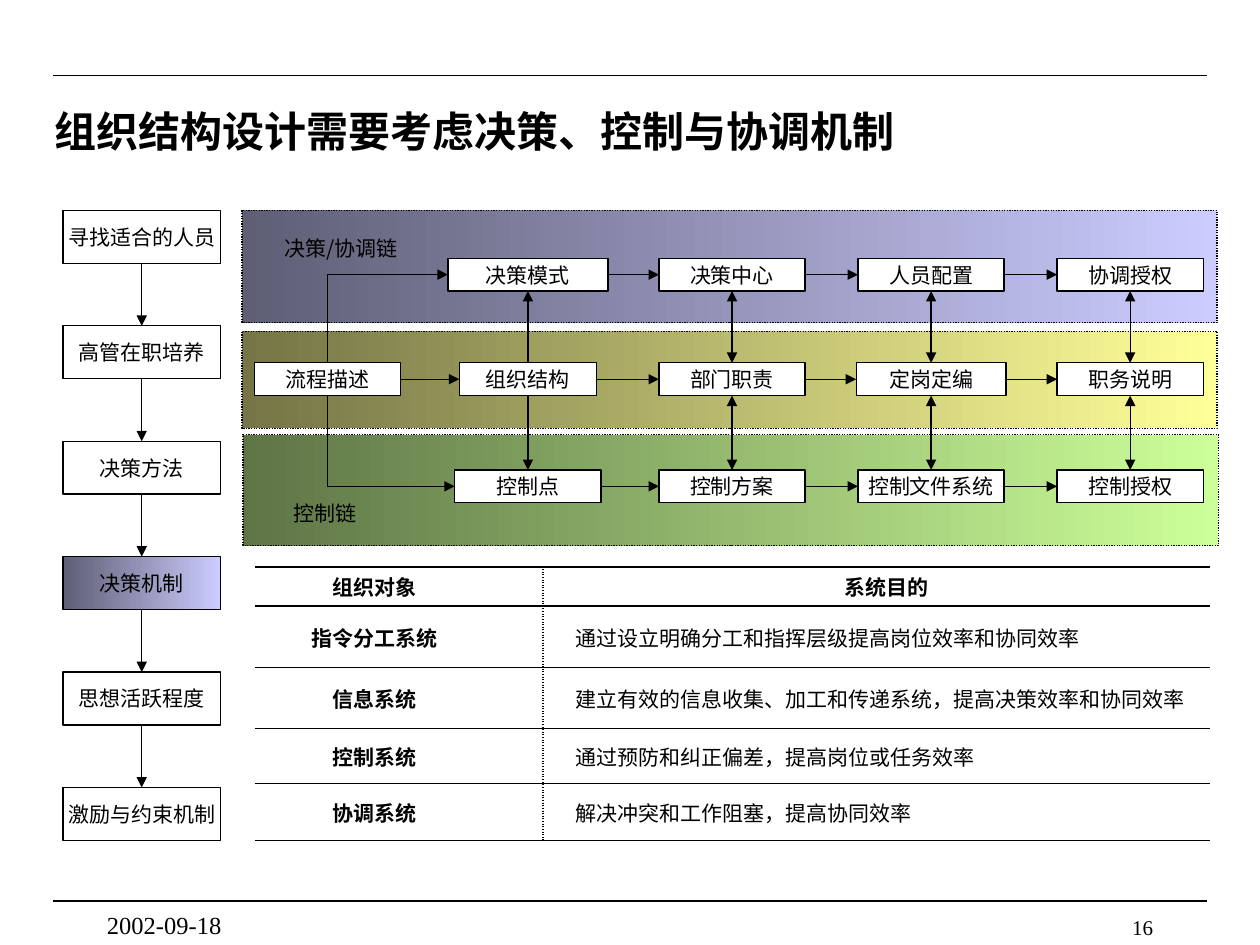
from dataclasses import dataclass
from itertools import pairwise
from typing import Optional

from lxml.etree import SubElement
from pptx import Presentation
from pptx.dml.color import RGBColor
from pptx.enum.dml import MSO_LINE
from pptx.enum.shapes import MSO_CONNECTOR, MSO_SHAPE
from pptx.enum.text import MSO_ANCHOR, PP_ALIGN
from pptx.oxml.ns import qn
from pptx.util import Inches, Pt

COLORS = {
    "ink": "000000", "paper": "FFFFFF",
    "blue": "CCCCFF", "blue_dark": "5E5E75",
    "yellow": "FFFF99", "yellow_dark": "757546",
    "green": "CCFF99", "green_dark": "5E7546",
}
SANS, SERIF = "Noto Sans CJK SC", "Times New Roman"
TOP, LEFT, BOTTOM, RIGHT = range(4)


@dataclass
class Box:
    text: str
    cx: float
    y: float
    w: float = 1.16
    h: float = 0.26
    fill: Optional[str] = "paper"
    font: str = SANS


@dataclass
class Band:
    color: str
    x: float
    y: float
    h: float


def rgb(name: str) -> RGBColor:
    return RGBColor.from_string(COLORS[name])


def add_run(p, text: str, size: float = 12, font: str = SANS, bold: bool = False):
    r = p.add_run()
    r.text = text
    r.font.size, r.font.name, r.font.bold = Pt(size), font, bold
    r.font.color.rgb = rgb("ink")
    if font == SANS:
        SubElement(r.font._element, qn("a:ea"), typeface=font)


def set_fill(fill, name: Optional[str]):
    if name is None:
        fill.background()
    elif f"{name}_dark" in COLORS:
        fill.gradient()
        fill.gradient_angle = 180
        for stop, color in zip(fill.gradient_stops, (name, f"{name}_dark")):
            stop.color.rgb = rgb(color)
    else:
        fill.solid()
        fill.fore_color.rgb = rgb(name)


def add_rect(s, x: float, y: float, w: float, h: float, fill: Optional[str]):
    sp = s.shapes.add_shape(MSO_SHAPE.RECTANGLE, Inches(x), Inches(y), Inches(w), Inches(h))
    sp.shadow.inherit = False
    set_fill(sp.fill, fill)
    sp.line.color.rgb = rgb("ink")
    sp.line.width = Pt(0.75)
    return sp


def add_band(s, band: Band):
    sp = add_rect(s, band.x, band.y, 7.74, band.h, band.color)
    sp.line.dash_style = MSO_LINE.ROUND_DOT


def add_box(s, box: Box):
    sp = add_rect(s, box.cx - box.w / 2, box.y, box.w, box.h, box.fill)
    tf = sp.text_frame
    tf.word_wrap = False
    tf.vertical_anchor = MSO_ANCHOR.MIDDLE
    p = tf.paragraphs[0]
    p.alignment = PP_ALIGN.CENTER
    add_run(p, box.text, font=box.font)
    return sp


def add_label(s, text: str, x: float, y: float, w: float, h: float, size: float = 12,
              font: str = SANS, align=PP_ALIGN.LEFT, anchor=MSO_ANCHOR.TOP):
    tf = s.shapes.add_textbox(Inches(x), Inches(y), Inches(w), Inches(h)).text_frame
    tf.word_wrap = True
    tf.vertical_anchor = anchor
    tf.paragraphs[0].alignment = align
    add_run(tf.paragraphs[0], text, size, font)


def add_line(s, x1: float = 0, y1: float = 0, x2: float = 0, y2: float = 0,
             kind=MSO_CONNECTOR.STRAIGHT):
    c = s.shapes.add_connector(kind, Inches(x1), Inches(y1), Inches(x2), Inches(y2))
    c.line.color.rgb = rgb("ink")
    c.line.width = Pt(0.75)
    SubElement(c._element.spPr, qn("a:effectLst"))
    return c


def add_arrow(s, a, a_side: int, b, b_side: int, ends: tuple = ("tailEnd",),
              kind=MSO_CONNECTOR.STRAIGHT):
    c = add_line(s, kind=kind)
    c.begin_connect(a, a_side)
    c.end_connect(b, b_side)
    for end in ends:
        SubElement(c.line._get_or_add_ln(), qn(f"a:{end}"), type="triangle")
    return c


def add_corner_arrow(s, target, source, source_side: int):
    """One-bend arrow that runs into the left side of target."""
    c = add_arrow(s, target, LEFT, source, source_side, ("headEnd",), MSO_CONNECTOR.ELBOW)
    c._element.spPr.find(qn("a:prstGeom")).set("prst", "bentConnector2")


def set_borders(cell, dashes: dict):
    """Draw the edges named in dashes and clear the others."""
    tcPr = cell._tc.get_or_add_tcPr()
    for edge in ("lnL", "lnR", "lnT", "lnB"):
        ln = SubElement(tcPr, qn(f"a:{edge}"), w=str(Pt(0.75)))
        if edge in dashes:
            fill = SubElement(ln, qn("a:solidFill"))
            SubElement(fill, qn("a:srgbClr"), val=COLORS["ink"])
            SubElement(ln, qn("a:prstDash"), val=dashes[edge])
        else:
            SubElement(ln, qn("a:noFill"))


def add_purpose_table(s, rows: list, heights: list):
    frame = s.shapes.add_table(len(rows), 2, Inches(2.02), Inches(4.5),
                               Inches(7.58), Inches(sum(heights)))
    table = frame.table
    table.first_row = table.horz_banding = False
    for col, w in zip(table.columns, (2.29, 5.29)):
        col.width = Inches(w)
    for i, (row, h) in enumerate(zip(rows, heights)):
        table.rows[i].height = Inches(h)
        for j, text in enumerate(row):
            cell = table.cell(i, j)
            divider = "lnL" if j else "lnR"
            set_borders(cell, {"lnT": "solid", "lnB": "solid", divider: "sysDot"})
            cell.fill.background()
            cell.vertical_anchor = MSO_ANCHOR.MIDDLE
            cell.margin_top = cell.margin_bottom = Inches(0.02)
            cell.margin_left = Inches(0.26 if j else 0.05)
            cell.margin_right = Inches(0.1 if j else 0.43)
            p = cell.text_frame.paragraphs[0]
            heading = i == 0 or j == 0
            p.alignment = PP_ALIGN.CENTER if heading else PP_ALIGN.LEFT
            add_run(p, text, bold=heading)


def main():
    prs = Presentation()
    prs.slide_width, prs.slide_height = Inches(10), Inches(7.5)
    s = prs.slides.add_slide(prs.slide_layouts[5])

    # Title and page rules
    for y in (0.6, 7.15):
        add_line(s, 0.42, y, 9.58, y)
    title = s.shapes.title
    title.left, title.top, title.width, title.height = map(Inches, (0.33, 0.7, 8.5, 0.67))
    title.text_frame.vertical_anchor = MSO_ANCHOR.MIDDLE
    p = title.text_frame.paragraphs[0]
    p.alignment = PP_ALIGN.LEFT
    add_run(p, "组织结构设计需要考虑决策、控制与协调机制", 24, SERIF, True)

    # Chain bands
    for band in (Band("yellow", 1.92, 2.63, 0.77), Band("green", 1.93, 3.45, 0.88),
                 Band("blue", 1.92, 1.67, 0.89)):
        add_band(s, band)
    for text, x, y in (("决策/协调链", 2.16, 1.84), ("控制链", 2.23, 3.94)):
        add_label(s, text, x, y, 1.27, 0.26, anchor=MSO_ANCHOR.MIDDLE)

    # Process grid: decision, organisation and control rows
    centers = (4.19, 5.81, 7.39, 8.97)
    grid = (
        (2.05, ("决策模式", "决策中心", "人员配置", "协调授权")),
        (2.88, ("组织结构", "部门职责", "定岗定编", "职务说明")),
        (3.73, ("控制点", "控制方案", "控制文件系统", "控制授权")),
    )
    widths = {"决策模式": 1.27, "组织结构": 1.09, "定岗定编": 1.19}
    decision, organisation, control = (
        [add_box(s, Box(t, cx, y, widths.get(t, 1.16))) for t, cx in zip(texts, centers)]
        for y, texts in grid)
    flow = add_box(s, Box("流程描述", 2.6, 2.88))
    for chain in (decision, [flow] + organisation, control):
        for a, b in pairwise(chain):
            add_arrow(s, a, RIGHT, b, LEFT)
    for i, (up, mid, down) in enumerate(zip(decision, organisation, control)):
        ends = ("headEnd", "tailEnd") if i else ("tailEnd",)
        add_arrow(s, mid, TOP, up, BOTTOM, ends)
        add_arrow(s, mid, BOTTOM, down, TOP, ends)
    add_corner_arrow(s, decision[0], flow, TOP)
    add_corner_arrow(s, control[0], flow, BOTTOM)

    # Step column with the current step highlighted
    names = ("寻找适合的人员", "高管在职培养", "决策方法", "决策机制", "思想活跃程度", "激励与约束机制")
    steps = [add_box(s, Box(t, 1.125, 1.67 + i * 0.916, 1.25, 0.42,
                            "blue" if t == "决策机制" else None, SERIF))
             for i, t in enumerate(names)]
    for a, b in pairwise(steps):
        add_arrow(s, a, BOTTOM, b, TOP)

    # Systems and their purposes
    add_purpose_table(s, [
        ("组织对象", "系统目的"),
        ("指令分工系统", "通过设立明确分工和指挥层级提高岗位效率和协同效率"),
        ("信息系统", "建立有效的信息收集、加工和传递系统，提高决策效率和协同效率"),
        ("控制系统", "通过预防和纠正偏差，提高岗位或任务效率"),
        ("协调系统", "解决冲突和工作阻塞，提高协同效率"),
    ], [0.31, 0.49, 0.48, 0.44, 0.45])

    # Footer
    add_label(s, "16", 7.17, 7.21, 2.08, 0.17, font=SERIF, align=PP_ALIGN.RIGHT)
    add_label(s, "2002-09-18", 0.75, 7.17, 2.08, 0.25, 14, SERIF)
    prs.save("out.pptx")


if __name__ == "__main__":
    main()
